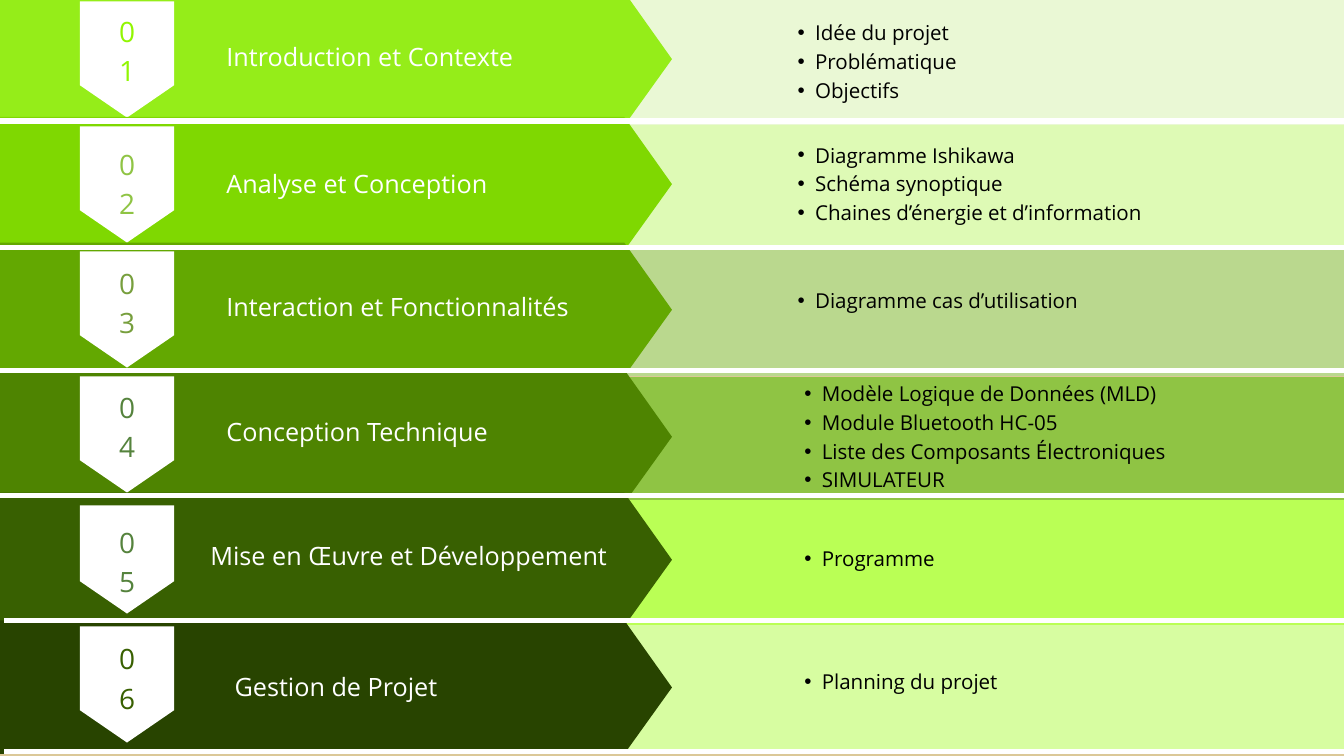
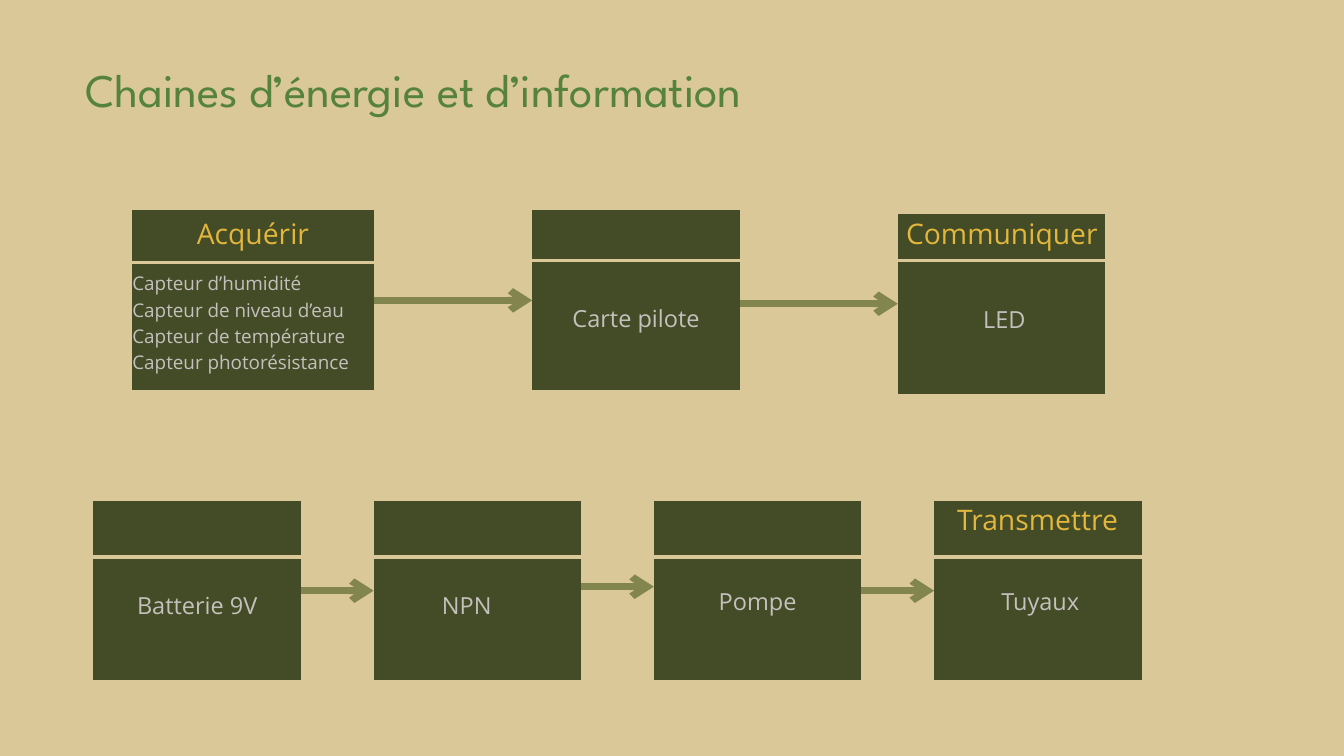
from dataclasses import dataclass

from lxml.etree import SubElement
from pptx import Presentation
from pptx.dml.color import RGBColor
from pptx.enum.shapes import MSO_CONNECTOR
from pptx.enum.text import MSO_ANCHOR, MSO_AUTO_SIZE, PP_ALIGN
from pptx.oxml.ns import qn
from pptx.util import Inches, Pt


@dataclass(frozen=True)
class TextStyle:
    size: float
    color: str
    align: PP_ALIGN = PP_ALIGN.LEFT
    font: str = "Open Sans"
    bulleted: bool = False


class Theme:
    sand = "DBC898"
    white = "FFFFFF"
    olive = "434C26"
    arrow = "82854D"
    rule_width = 3.75
    arrow_width = 7.5
    line_ratio = 1.4
    title = TextStyle(50, "55833D", font="League Spartan")
    chapter = TextStyle(27, white)
    topic = TextStyle(22, "000000", bulleted=True)
    block_heading = TextStyle(30.3, "E3B63C", PP_ALIGN.CENTER)
    block_label = TextStyle(25.2, "C4C1BD", PP_ALIGN.CENTER)
    block_list = TextStyle(20.2, "C4C1BD", PP_ALIGN.JUSTIFY)


def number_style(color):
    return TextStyle(30, color, PP_ALIGN.CENTER)


def apply_format(target, values):
    for name, value in values.items():
        setattr(target, name, value)


def add_bullet(para):
    properties = para._p.get_or_add_pPr()
    properties.set("marL", str(Inches(0.52)))
    properties.set("indent", str(Inches(-0.26)))
    SubElement(properties, qn("a:buFont"), typeface="Arial")
    SubElement(properties, qn("a:buChar"), char="•")


class SlideBuilder:
    """Holds the theme, the deck and the page being filled."""

    def __init__(self, theme, width, height):
        self.theme = theme
        self.deck = Presentation()
        self.deck.slide_width = Inches(width)
        self.deck.slide_height = Inches(height)
        self.page = None

    def new_page(self, title=None, place=None):
        layout = self.deck.slide_layouts[5 if title else 6]
        self.page = self.deck.slides.add_slide(layout)
        fill = self.page.background.fill
        fill.solid()
        fill.fore_color.rgb = RGBColor.from_string(self.theme.sand)
        if title:
            box = self.page.shapes.title
            left, top, width, height = map(Inches, place)
            apply_format(box, {"left": left, "top": top, "width": width, "height": height})
            self.set_lines(box, [title], self.theme.title)

    def set_lines(self, box, lines, style):
        frame = box.text_frame
        apply_format(frame, {
            "margin_left": 0, "margin_top": 0, "margin_right": 0, "margin_bottom": 0,
            "word_wrap": True, "auto_size": MSO_AUTO_SIZE.SHAPE_TO_FIT_TEXT,
            "vertical_anchor": MSO_ANCHOR.TOP,
        })
        for index, line in enumerate(lines):
            para = frame.add_paragraph() if index else frame.paragraphs[0]
            if style.bulleted:
                add_bullet(para)
            apply_format(para, {
                "alignment": style.align, "space_before": Pt(0),
                "line_spacing": Pt(round(style.size * self.theme.line_ratio, 1)),
            })
            span = para.add_run()
            span.text = line
            apply_format(span.font, {"name": style.font, "size": Pt(style.size)})
            span.font.color.rgb = RGBColor.from_string(style.color)

    def text(self, left, top, width, lines, style):
        height = len(lines) * style.size * self.theme.line_ratio / 72
        box = self.page.shapes.add_textbox(*map(Inches, (left, top, width, height)))
        self.set_lines(box, lines, style)

    def polygon(self, points, color):
        corners = [(Inches(x), Inches(y)) for x, y in points]
        outline = self.page.shapes.build_freeform(*corners[0])
        outline.add_line_segments(corners[1:], close=True)
        shape = outline.convert_to_shape()
        shape.shadow.inherit = False
        shape.fill.solid()
        shape.fill.fore_color.rgb = RGBColor.from_string(color)
        shape.line.fill.background()

    def rectangle(self, left, top, width, height, color):
        right, bottom = left + width, top + height
        self.polygon([(left, top), (right, top), (right, bottom), (left, bottom)], color)

    def line(self, start, end, color, width, arrow=False):
        connector = self.page.shapes.add_connector(
            MSO_CONNECTOR.STRAIGHT, *map(Inches, start + end))
        connector.line.color.rgb = RGBColor.from_string(color)
        connector.line.width = Pt(width)
        if arrow:
            SubElement(connector.line._get_or_add_ln(), qn("a:tailEnd"), type="arrow")
        SubElement(connector._element.spPr, qn("a:effectLst"))

    def chapter_arrow(self, top, color):
        bottom = top + 1.99
        self.polygon([(9.29, top), (0, top), (0, bottom), (9.29, bottom), (10, top + 1)], color)

    def badge(self, top, side):
        left, middle, right = 1.19, 1.89, 2.59
        self.polygon([(right, top), (right, top + side), (middle, top + side + 0.48),
                      (left, top + side), (left, top)], self.theme.white)


@dataclass(frozen=True)
class Chapter:
    name: str
    topics: tuple
    panel_color: str
    arrow_color: str
    number_color: str
    arrow_top: float
    divider: tuple  # left, top
    name_at: tuple  # left, top, width
    number_top: float
    topics_at: tuple  # left, top, width
    panel_left: float = 0
    badge_shift: float = 0
    badge_side: float = 1.25


CHAPTERS = [
    Chapter("Introduction et Contexte", ("Idée du projet", "Problématique", "Objectifs"),
            "EAF8D5", "95ED19", "91F602", -0.12, None, (3.37, 0.54, 4.65), 0.13,
            (11.61, 0.24, 2.79)),
    Chapter("Analyse et Conception",
            ("Diagramme Ishikawa", "Schéma synoptique", "Chaines d’énergie et d’information"),
            "DEFAB5", "7FD801", "8FC444", 1.74, (0, 1.76), (3.37, 2.43, 4.17), 2.11,
            (11.61, 2.06, 5.78)),
    Chapter("Interaction et Fonctionnalités", ("Diagramme cas d’utilisation",),
            "BAD88E", "63A801", "779F3D", 3.61, (0, 3.64), (3.37, 4.26, 5.59), 3.88,
            (11.61, 4.23, 4.78)),
    Chapter("Conception Technique",
            ("Modèle Logique de Données (MLD)", "Module Bluetooth HC-05",
             "Liste des Composants Électroniques", "SIMULATEUR"),
            "8FC444", "4E8401", "55833D", 5.5, (0, 5.47), (3.37, 6.12, 4.17), 5.73,
            (11.71, 5.61, 5.98), panel_left=0.06),
    Chapter("Mise en Œuvre et Développement", ("Programme",),
            "BAFF55", "386001", "55833D", 7.33, (0, 7.33), (3.13, 7.97, 6.31), 7.74,
            (11.71, 8.07, 2.39), badge_shift=0.06, badge_side=1.13),
    Chapter("Gestion de Projet", ("Planning du projet",),
            "D7FDA1", "284400", "386001", 9.23, (0.06, 9.19), (3.49, 9.91, 3.23), 9.47,
            (11.71, 9.9, 3.34)),
]


def add_divider(builder, left, top):
    builder.rectangle(left, top, 20 - left, 0.08, builder.theme.white)


def build_outline(builder):
    theme = builder.theme
    builder.new_page()
    for index, chapter in enumerate(CHAPTERS):
        panel_top = 1.86 * index + (0.03 if chapter.panel_left else 0)
        builder.rectangle(chapter.panel_left, panel_top, 20 - chapter.panel_left, 1.87,
                          chapter.panel_color)
        builder.chapter_arrow(chapter.arrow_top, chapter.arrow_color)
        if chapter.divider:
            add_divider(builder, *chapter.divider)
        builder.badge(0.02 + 1.86 * index + chapter.badge_shift, chapter.badge_side)
        builder.text(*chapter.name_at, [chapter.name], theme.chapter)
        builder.text(1.77, chapter.number_top, 0.24, f"{index + 1:02}",
                     number_style(chapter.number_color))
    add_divider(builder, 0.06, 11.14)
    for chapter in CHAPTERS:
        builder.text(*chapter.topics_at, chapter.topics, theme.topic)


def build_chains(builder):
    theme = builder.theme
    builder.new_page("Chaines d’énergie et d’information", (1.27, 0.76, 12.54, 0.94))

    blocks = [(1.96, 3.13, 3.6), (7.92, 3.13, 3.09), (13.36, 3.19, 3.09)]
    blocks += [(1.39 + 4.17 * column, 7.45, 3.09) for column in range(4)]
    for left, top, width in blocks:
        builder.rectangle(left, top, width, 2.67, theme.olive)

    rules = [(1.12, 3.91), (6.39, 3.88), (11.68, 3.88)]
    rules += [(left, 8.29) for left in (1.27, 4.24, 8.26, 12.28)]
    for left, top in rules:
        builder.line((left, top), (left + 5.49, top), theme.sand, theme.rule_width)

    arrows = [(5.56, 7.92, 4.47), (11.01, 13.36, 4.52),
              (4.48, 5.56, 8.79), (8.65, 9.73, 8.73), (12.82, 13.9, 8.79)]
    for start, end, top in arrows:
        builder.line((start, top), (end, top), theme.arrow, theme.arrow_width, arrow=True)

    headings = [("Acquérir", 2.86, 3.13, 1.81), ("Communiquer", 13.4, 3.13, 3.02),
                ("Transmettre", 14.12, 7.39, 2.64)]
    labels = [("Carte pilote", 7.92, 4.46, 3.09), ("LED", 13.4, 4.47, 3.09),
              ("Batterie 9V", 1.96, 8.73, 1.95), ("NPN", 6.55, 8.72, 0.79),
              ("Pompe", 10.67, 8.66, 1.21), ("Tuyaux", 14.84, 8.67, 1.28)]
    for style, entries in ((theme.block_heading, headings), (theme.block_label, labels)):
        for words, left, top, width in entries:
            builder.text(left, top, width, [words], style)

    sensors = ["Capteur d’humidité", "Capteur de niveau d’eau",
               "Capteur de température", "Capteur photorésistance"]
    builder.text(1.97, 3.99, 3.6, sensors, theme.block_list)


def main():
    builder = SlideBuilder(Theme(), 20, 11.25)
    build_outline(builder)
    build_chains(builder)
    builder.deck.save("out.pptx")


if __name__ == "__main__":
    main()
